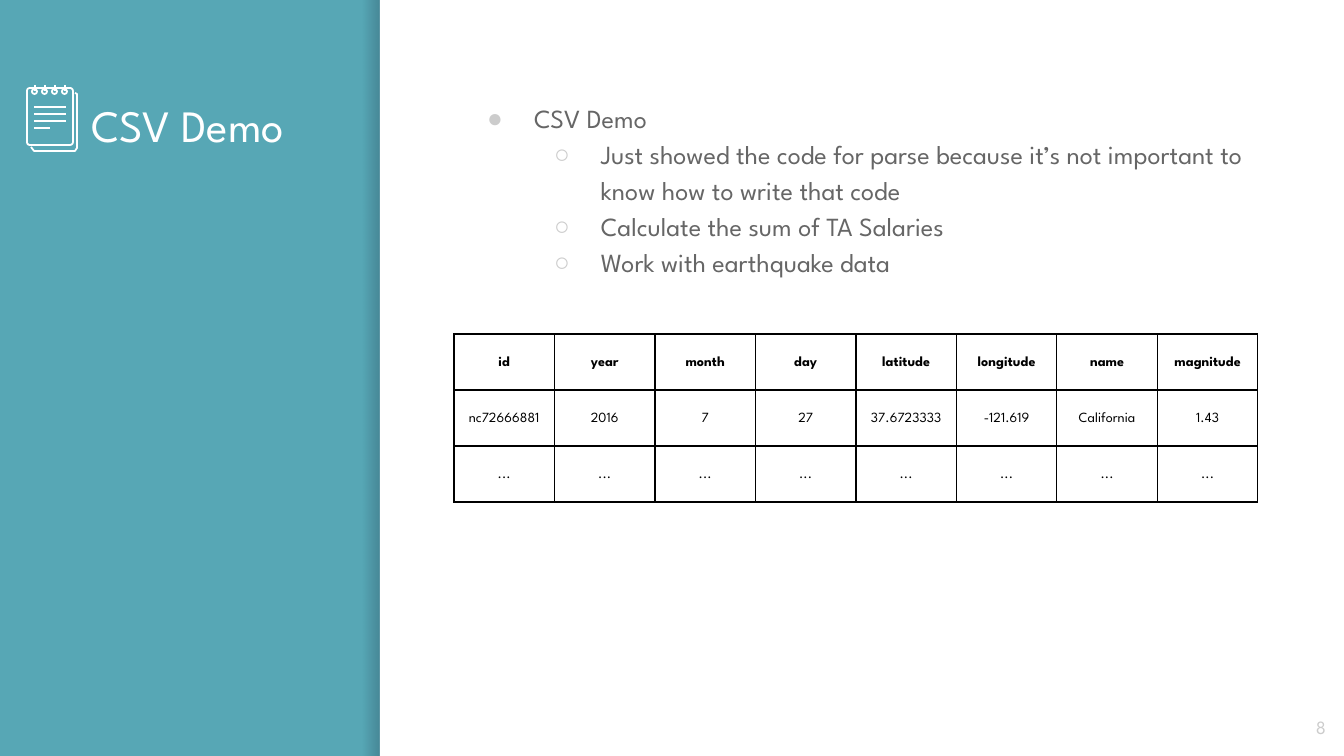
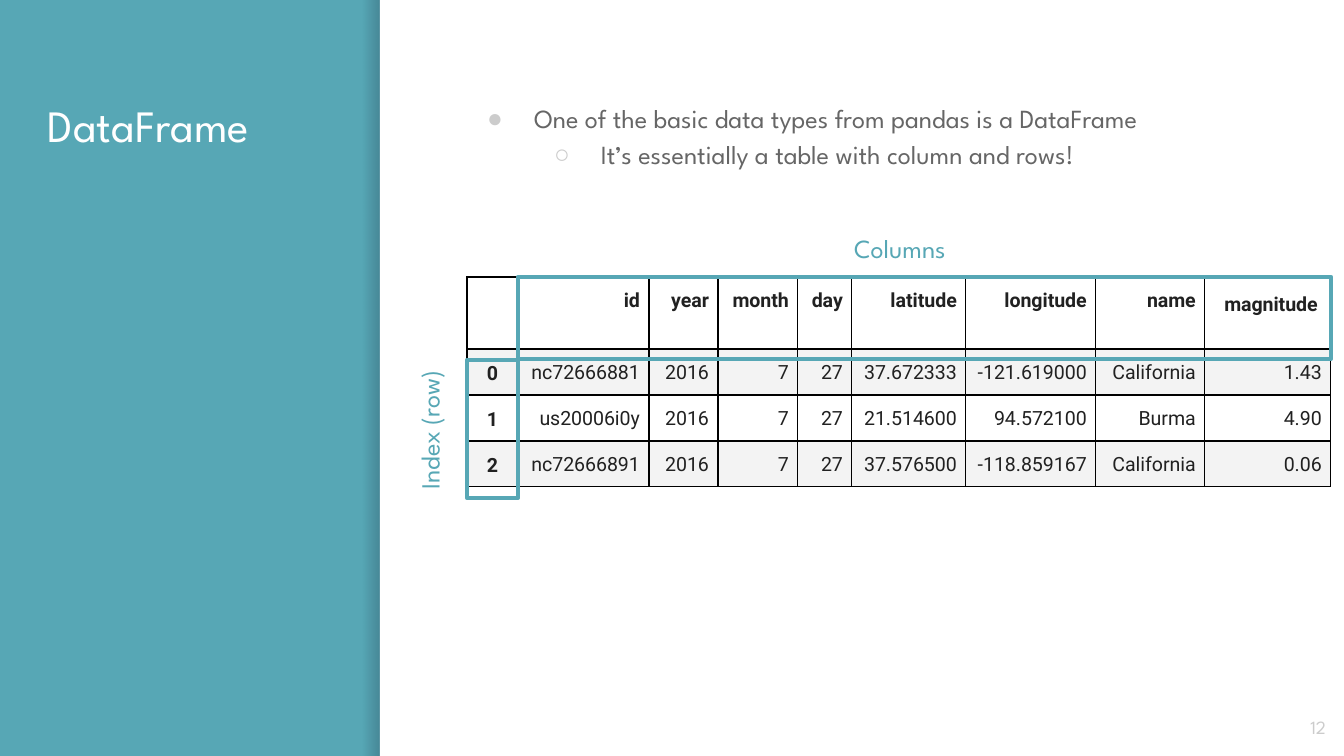
"""Build two lecture slides on tabular data: a CSV demo and a DataFrame."""
from lxml import etree
from pptx import Presentation
from pptx.dml.color import RGBColor
from pptx.enum.shapes import MSO_CONNECTOR, MSO_SHAPE
from pptx.enum.text import MSO_ANCHOR, MSO_AUTO_SIZE, PP_ALIGN
from pptx.oxml.ns import qn
from pptx.util import Emu, Pt

RECTANGLE, ROUNDED, OVAL = MSO_SHAPE.RECTANGLE, MSO_SHAPE.ROUNDED_RECTANGLE, MSO_SHAPE.OVAL
STRAIGHT = MSO_CONNECTOR.STRAIGHT
TOP, MIDDLE = MSO_ANCHOR.TOP, MSO_ANCHOR.MIDDLE
LEFT, CENTER, RIGHT = PP_ALIGN.LEFT, PP_ALIGN.CENTER, PP_ALIGN.RIGHT
FIXED = MSO_AUTO_SIZE.NONE

TEAL = RGBColor(0x57, 0xA7, 0xB5)
NAVY = RGBColor(0x00, 0x00, 0x14)
WHITE = RGBColor(0xFF, 0xFF, 0xFF)
BLACK = RGBColor(0x00, 0x00, 0x00)
INK = RGBColor(0x21, 0x21, 0x21)
GREY = RGBColor(0x66, 0x66, 0x66)
PALE = RGBColor(0xCC, 0xCC, 0xCC)
STRIPE = RGBColor(0xF3, 0xF3, 0xF3)

SCALE = 914400 / 134.4
SLIDE_SIZE = (1344, 756)
SHADOW_BOX = (363, 0, 17, 756)
PANEL_BOX = (380, 0, 964, 756)
TITLE_BOX = (35, 85, 301, 585)
BODY_BOX = (454, 85, 823, 585)
NUMBER_BOX = (1258, 698, 81, 58)
INSET = 13
BULLETS = ["●", "○"]
LEVEL_INDENT, HANGING = 67, 47
SPACING = 1.15

TITLE_FONT = {"name": "League Spartan", "size": Pt(24), "color": WHITE}
BODY_FONT = {"name": "League Spartan", "size": Pt(14), "color": GREY}
LABEL_FONT = {"name": "League Spartan", "size": Pt(14), "color": TEAL}
NUMBER_FONT = {"name": "League Spartan", "size": Pt(10), "color": PALE}
CSV_FONT = {"name": "League Spartan", "size": Pt(7.5), "color": BLACK}
FRAME_FONT = {"name": "Roboto", "size": Pt(10.5), "color": INK}

CSV_TITLE = "CSV Demo"
CSV_POINTS = [
    (0, "CSV Demo"),
    (1, "Just showed the code for parse because it’s not important to know how to write that code"),
    (1, "Calculate the sum of TA Salaries"),
    (1, "Work with earthquake data"),
]
HEADINGS = ["id", "year", "month", "day", "latitude", "longitude", "name", "magnitude"]
CSV_ROWS = [
    HEADINGS,
    ["nc72666881", "2016", "7", "27", "37.6723333", "-121.619", "California", "1.43"],
    ["..."] * len(HEADINGS),
]
FRAME_TITLE = "DataFrame"
FRAME_POINTS = [
    (0, "One of the basic data types from pandas is a DataFrame"),
    (1, "It’s essentially a table with column and rows!"),
]
FRAME_ROWS = [
    ["", *HEADINGS],
    ["0", "nc72666881", "2016", "7", "27", "37.672333", "-121.619000", "California", "1.43"],
    ["1", "us20006i0y", "2016", "7", "27", "21.514600", "94.572100", "Burma", "4.90"],
    ["2", "nc72666891", "2016", "7", "27", "37.576500", "-118.859167", "California", "0.06"],
]
FRAME_WIDTHS = [51, 131, 69, 80, 54, 114, 130, 109, 126]
FRAME_HEIGHTS = [72, 46, 46, 46]
FRAME_LABELS = [
    ("Columns", (841, 219, 132, 58), LEFT, 0),
    ("Index (row)", (343, 401, 173, 58), CENTER, 270),
]
FRAME_OUTLINES = [(518, 277, 813, 82), (467, 360, 51, 138)]

ICON_INDENT = 43
ICON_LINE = 0.96
SHEET_BOX = (27, 88, 46, 57)
BACK_SHEET = [(31, 147), (34, 151), (75, 151), (77, 148), (77, 94), (75, 93)]
WRITING_ENDS = [66, 66, 66, 50]


def px(length):
    return Emu(round(length * SCALE))


def place(box):
    return [px(length) for length in box]


def apply(target, values):
    for name, value in values.items():
        if name == "color":
            target.color.rgb = value
        else:
            setattr(target, name, value)


def format_frame(frame, anchor, inset=INSET):
    margins = {f"margin_{side}": px(inset) for side in ("left", "right", "top", "bottom")}
    apply(frame, {"word_wrap": True, "auto_size": FIXED, "vertical_anchor": anchor, **margins})


def outline(shape, color, width):
    apply(shape.line, {"color": color, "width": Pt(width)})


def add_shape(shapes, kind, box, fill=None):
    shape = shapes.add_shape(kind, *place(box))
    shape.shadow.inherit = False
    if fill is None:
        shape.fill.background()
    else:
        shape.fill.solid()
        shape.fill.fore_color.rgb = fill
        shape.line.fill.background()
    return shape


def add_stroke(shapes, ends):
    stroke = shapes.add_connector(STRAIGHT, *place(ends))
    outline(stroke, WHITE, ICON_LINE)
    etree.SubElement(stroke._element.spPr, qn("a:effectLst"))


def add_label(page, text, box, font, align, anchor=TOP, rotation=0):
    label = page.shapes.add_textbox(*place(box))
    label.rotation = rotation
    format_frame(label.text_frame, anchor)
    para = label.text_frame.paragraphs[0]
    para.text, para.alignment = text, align
    apply(para.font, font)


def add_bullet(para, level):
    settings = para._p.get_or_add_pPr()
    settings.set("marL", str(px(LEVEL_INDENT * (level + 1))))
    settings.set("indent", str(-px(HANGING)))
    color = etree.SubElement(settings, qn("a:buClr"))
    etree.SubElement(color, qn("a:srgbClr"), val=str(PALE))
    etree.SubElement(settings, qn("a:buChar"), char=BULLETS[level])


def dress_layout(layout, page):
    """Give the layout its teal ground, white panel and the panel's shadow."""
    layout.background.fill.solid()
    layout.background.fill.fore_color.rgb = TEAL
    shadow = add_shape(page.shapes, RECTANGLE, SHADOW_BOX, NAVY)
    shadow.fill.gradient()
    shadow.fill.gradient_angle = 0
    for stop in shadow.fill.gradient_stops:
        stop.color.rgb = NAVY
    colors = shadow._element.spPr.findall(".//" + qn("a:srgbClr"))
    for color, opacity in zip(colors, (0, 20000)):
        etree.SubElement(color, qn("a:alpha"), val=str(opacity))
    panel = add_shape(page.shapes, RECTANGLE, PANEL_BOX, WHITE)
    for position, band in enumerate((shadow, panel), start=2):
        layout.shapes._spTree.insert(position, band._element)


def fill_page(page, title, points, number, title_indent=0):
    heading, body = page.placeholders
    for holder, box in ((heading, TITLE_BOX), (body, BODY_BOX)):
        apply(holder, dict(zip(("left", "top", "width", "height"), place(box))))
        format_frame(holder.text_frame, TOP)
    para = heading.text_frame.paragraphs[0]
    para.text, para.alignment = title, LEFT
    para._p.get_or_add_pPr().set("marL", str(px(title_indent)))
    apply(para.font, TITLE_FONT)
    frame = body.text_frame
    for index, (level, text) in enumerate(points):
        para = frame.add_paragraph() if index else frame.paragraphs[0]
        add_bullet(para, level)
        apply(para, {"text": text, "level": level, "line_spacing": SPACING, "space_before": Pt(0)})
        apply(para.font, BODY_FONT)
    add_label(page, number, NUMBER_BOX, NUMBER_FONT, RIGHT, MIDDLE)


def add_notepad(page):
    icon = page.shapes.add_group_shape().shapes
    builder = icon.build_freeform(*BACK_SHEET[0], scale=SCALE)
    builder.add_line_segments(BACK_SHEET[1:], close=False)
    back = builder.convert_to_shape()
    back.shadow.inherit = False
    back.fill.background()
    sheet = add_shape(icon, ROUNDED, SHEET_BOX)
    sheet.adjustments[0] = 0.06
    rings = [add_shape(icon, OVAL, (32 + 10 * index, 89, 5, 5)) for index in range(4)]
    for shape in (back, sheet, *rings):
        outline(shape, WHITE, ICON_LINE)
    for index, end in enumerate(WRITING_ENDS):
        add_stroke(icon, (34, 107 + 7 * index, end, 107 + 7 * index))
        add_stroke(icon, (35 + 10 * index, 85, 35 + 10 * index, 91))


def border_cell(cell):
    settings = cell._tc.get_or_add_tcPr()
    for side in "LRTB":
        line = etree.SubElement(settings, qn(f"a:ln{side}"), w=str(Pt(0.75)))
        fill = etree.SubElement(line, qn("a:solidFill"))
        etree.SubElement(fill, qn("a:srgbClr"), val=str(BLACK))


def add_table(page, corner, rows, widths, heights, font, cell_format):
    """Add a bordered table; cell_format gives inset, anchor, alignment, bold and fill."""
    box = (*corner, sum(widths), sum(heights))
    table = page.shapes.add_table(len(rows), len(widths), *place(box)).table
    apply(table, {"first_row": False, "horz_banding": False})
    for column, width in zip(table.columns, widths):
        column.width = px(width)
    for row, height in zip(table.rows, heights):
        row.height = px(height)
    for r, texts in enumerate(rows):
        for c, text in enumerate(texts):
            inset, anchor, align, bold, fill = cell_format(r, c)
            cell = table.cell(r, c)
            border_cell(cell)
            margins = {f"margin_{side}": px(inset) for side in ("left", "right", "top", "bottom")}
            apply(cell, {"vertical_anchor": anchor, **margins})
            if fill is None:
                cell.fill.background()
            else:
                cell.fill.solid()
                cell.fill.fore_color.rgb = fill
            para = cell.text_frame.paragraphs[0]
            apply(para, {"text": text, "alignment": align, "line_spacing": SPACING})
            apply(para.font, {**font, "bold": bold})


def csv_cell(r, c):
    return 5, MIDDLE, CENTER, r == 0, None


def frame_cell(r, c):
    is_index = r > 0 and c == 0
    inset = INSET if (r, c) == (0, len(HEADINGS)) else 9
    anchor, align = (MIDDLE, CENTER) if is_index else (TOP, RIGHT)
    return inset, anchor, align, r == 0 or is_index, STRIPE if r % 2 else WHITE


def main():
    deck = Presentation()
    deck.slide_width, deck.slide_height = place(SLIDE_SIZE)
    layout = deck.slide_layouts[1]

    page = deck.slides.add_slide(layout)
    dress_layout(layout, page)
    fill_page(page, CSV_TITLE, CSV_POINTS, "8", ICON_INDENT)
    add_notepad(page)
    add_table(page, (454, 334), CSV_ROWS, [804 / len(HEADINGS)] * len(HEADINGS),
              [56] * len(CSV_ROWS), CSV_FONT, csv_cell)

    page = deck.slides.add_slide(layout)
    fill_page(page, FRAME_TITLE, FRAME_POINTS, "12")
    add_table(page, (467, 277), FRAME_ROWS, FRAME_WIDTHS, FRAME_HEIGHTS, FRAME_FONT, frame_cell)
    for text, box, align, rotation in FRAME_LABELS:
        add_label(page, text, box, LABEL_FONT, align, rotation=rotation)
    for box in FRAME_OUTLINES:
        outline(add_shape(page.shapes, RECTANGLE, box), TEAL, 2.25)

    deck.save("out.pptx")


if __name__ == "__main__":
    main()
